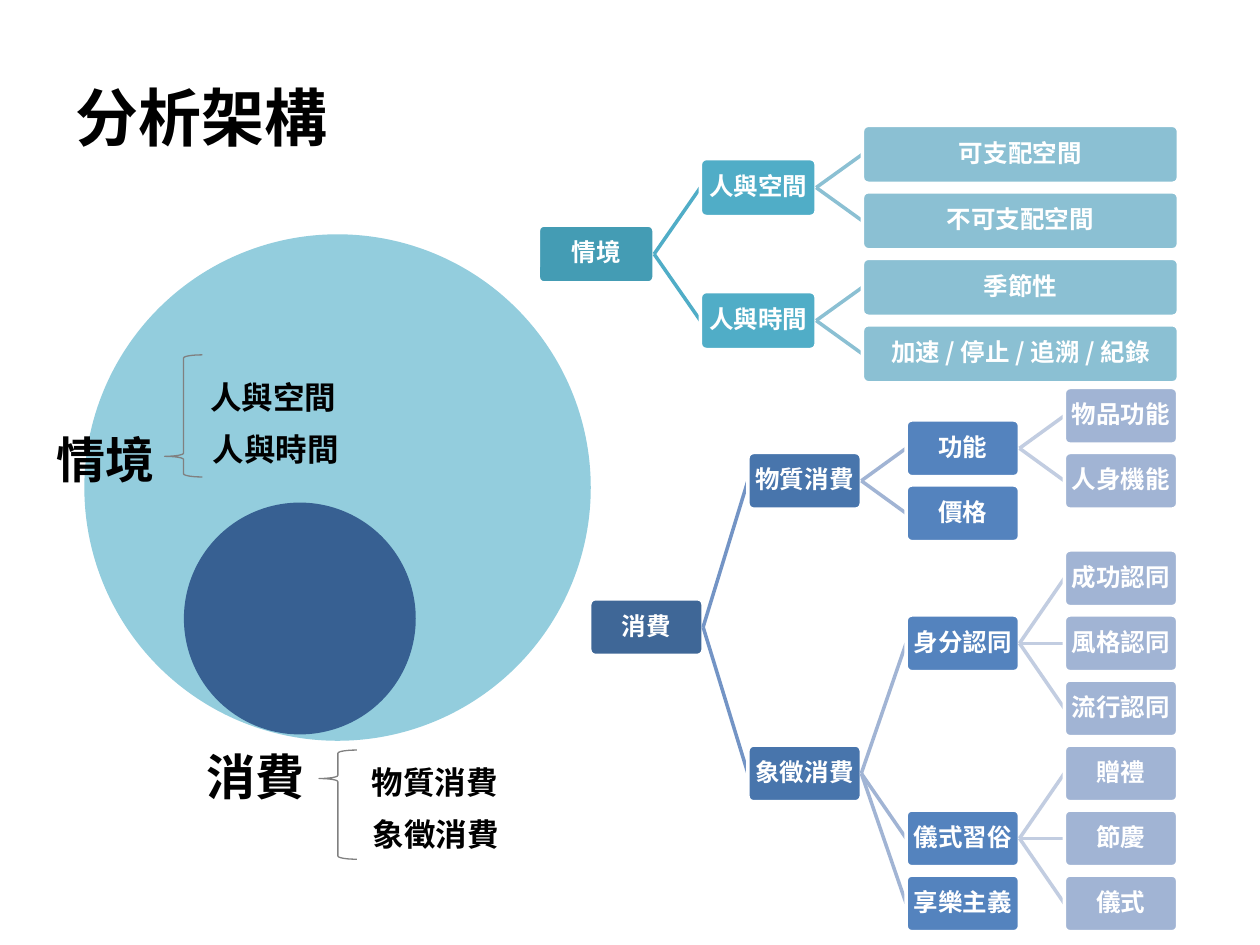
from lxml import etree
from pptx import Presentation
from pptx.dml.color import RGBColor
from pptx.enum.shapes import MSO_CONNECTOR, MSO_SHAPE
from pptx.enum.text import MSO_ANCHOR, MSO_AUTO_SIZE, PP_ALIGN
from pptx.oxml.ns import qn
from pptx.util import Pt

OVAL, BRACE = MSO_SHAPE.OVAL, MSO_SHAPE.LEFT_BRACE
ROUND, LINE = MSO_SHAPE.ROUNDED_RECTANGLE, MSO_CONNECTOR.STRAIGHT
LEFT, CENTER, MIDDLE = PP_ALIGN.LEFT, PP_ALIGN.CENTER, MSO_ANCHOR.MIDDLE
GROW = MSO_AUTO_SIZE.SHAPE_TO_FIT_TEXT

FONT = "Noto Sans CJK SC"
BLACK = RGBColor(0x00, 0x00, 0x00)
WHITE = RGBColor(0xFF, 0xFF, 0xFF)
GRAY = RGBColor(0x80, 0x80, 0x80)
SKY = RGBColor(0x93, 0xCD, 0xDD)
NAVY = RGBColor(0x37, 0x60, 0x92)
TEALS = [RGBColor(0x44, 0x9C, 0xB4), RGBColor(0x50, 0xAD, 0xC7),
         RGBColor(0x8B, 0xC0, 0xD3)]
BLUES = [RGBColor(0x3F, 0x67, 0x97), RGBColor(0x48, 0x75, 0xAC),
         RGBColor(0x54, 0x83, 0xBE), RGBColor(0xA1, 0xB4, 0xD4)]
LINKS = [RGBColor(0x73, 0x94, 0xC5), RGBColor(0xA1, 0xB4, 0xD4),
         RGBColor(0xC2, 0xCD, 0xE1)]

# A node is (text, row) for a leaf, or (text, [nodes]) for a branch.
SCENE = ("情境", [
    ("人與空間", [("可支配空間", 0), ("不可支配空間", 1)]),
    ("人與時間", [("季節性", 2), ("加速 / 停止 / 追溯 / 紀錄", 3)]),
])
SPEND = ("消費", [
    ("物質消費", [
        ("功能", [("物品功能", 0), ("人身機能", 1)]),
        ("價格", 1.5),
    ]),
    ("象徵消費", [
        ("身分認同", [("成功認同", 2.5), ("風格認同", 3.5), ("流行認同", 4.5)]),
        ("儀式習俗", [("贈禮", 5.5), ("節慶", 6.5), ("儀式", 7.5)]),
        ("享樂主義", 7.5),
    ]),
])
SCENE_GRID = dict(left=307.6, top=88.2, pitch=92.6, step=38,
                  widths=[66.2, 66.2, 180.6], high=33.1,
                  fills=TEALS, links=TEALS[1:])
SPEND_GRID = dict(left=337, top=237.6, pitch=90.4, step=37.15,
                  widths=[64.8] * 4, high=32.4,
                  fills=BLUES, links=LINKS)

LABELS = [
    ("消費", 110.9, 422.8, 74, 41, 28),
    ("情境", 25.2, 242, 74, 41, 28),
    ("物質消費", 205.2, 432.7, 120, 29, 18),
    ("象徵消費", 205.9, 462.2, 120, 29, 18),
    ("人與空間", 113.2, 212.4, 120, 29, 18),
    ("人與時間", 114.5, 241.9, 120, 29, 18),
]


def write(frame, text, size=14, color=BLACK, align=LEFT, gap=None):
    """Put bold text into a text frame."""
    par = frame.paragraphs[0]
    par.alignment = align
    par.line_spacing = gap
    run = par.add_run()
    run.text = text
    font = run.font
    font.size, font.bold, font.name = Pt(size), True, FONT
    font.color.rgb = color
    east = etree.SubElement(run._r.get_or_add_rPr(), qn("a:ea"))
    east.set("typeface", FONT)


def label(slide, text, x, y, wide, high, size):
    """Add a free text label."""
    frame = slide.shapes.add_textbox(Pt(x), Pt(y), Pt(wide), Pt(high)).text_frame
    frame.word_wrap = True
    frame.auto_size = GROW
    write(frame, text, size=size)


def shape(home, kind, x, y, wide, high, fill=None, line=None, width=1, adj=()):
    """Add a preset shape without shadow."""
    item = home.shapes.add_shape(kind, Pt(x), Pt(y), Pt(wide), Pt(high))
    item.shadow.inherit = False
    for i, value in enumerate(adj):
        item.adjustments[i] = value
    if fill is None:
        item.fill.background()
    else:
        item.fill.solid()
        item.fill.fore_color.rgb = fill
    if line is None:
        item.line.fill.background()
    else:
        item.line.color.rgb = line
        item.line.width = Pt(width)
    return item


def link(home, x1, y1, x2, y2, color):
    """Join two tree boxes with a straight line."""
    item = home.shapes.add_connector(LINE, Pt(x1), Pt(y1), Pt(x2), Pt(y2))
    item.line.color.rgb = color
    item.line.width = Pt(2)
    etree.SubElement(item._element.spPr, qn("a:effectLst"))


def box(home, text, x, y, wide, high, fill):
    """Add a tree box with centred white text."""
    item = shape(home, ROUND, x, y, wide, high, fill, WHITE, 2, [0.1])
    frame = item.text_frame
    frame.word_wrap = True
    frame.vertical_anchor = MIDDLE
    frame.margin_left = frame.margin_right = Pt(0.7)
    frame.margin_top = frame.margin_bottom = Pt(0.7)
    write(frame, text, color=WHITE, align=CENTER, gap=0.9)


def row(node):
    """Give a node's row: its own, or midway between its outer children."""
    kids = node[1]
    if isinstance(kids, list):
        return (row(kids[0]) + row(kids[-1])) / 2
    return kids


def tree(home, node, grid, level=0):
    """Draw a node, then its links and children, from left to right."""
    text, kids = node
    x = grid["left"] + level * grid["pitch"]
    y = grid["top"] + row(node) * grid["step"]
    wide, high = grid["widths"][level], grid["high"]
    box(home, text, x, y - high / 2, wide, high, grid["fills"][level])
    if not isinstance(kids, list):
        return
    for kid in kids:
        end = grid["top"] + row(kid) * grid["step"]
        link(home, x + wide, y, x + grid["pitch"], end, grid["links"][level])
        tree(home, kid, grid, level + 1)


def main():
    """Build the slide and save it."""
    deck = Presentation()
    deck.slide_width, deck.slide_height = Pt(720), Pt(540)
    slide = deck.slides.add_slide(deck.slide_layouts[5])

    title = slide.shapes.title
    title.left, title.top = Pt(36), Pt(21.6)
    title.width, title.height = Pt(648), Pt(90)
    title.text_frame.vertical_anchor = MIDDLE
    write(title.text_frame, "分析架構", size=36)

    shape(slide, OVAL, 48.2, 133.9, 289.4, 289.4, SKY)
    shape(slide, OVAL, 105.1, 287.2, 132.5, 132.5, NAVY)
    for item in LABELS:
        label(slide, *item)
    shape(slide, BRACE, 182.3, 428.6, 21.6, 62.4, None, GRAY, 0.75, [0.083, 0.261])
    shape(slide, BRACE, 94.1, 202.8, 21.6, 69.8, None, GRAY, 0.75, [0.083, 0.831])

    for node, grid in ((SPEND, SPEND_GRID), (SCENE, SCENE_GRID)):
        tree(slide.shapes.add_group_shape(), node, grid)

    deck.save("out.pptx")


main()
